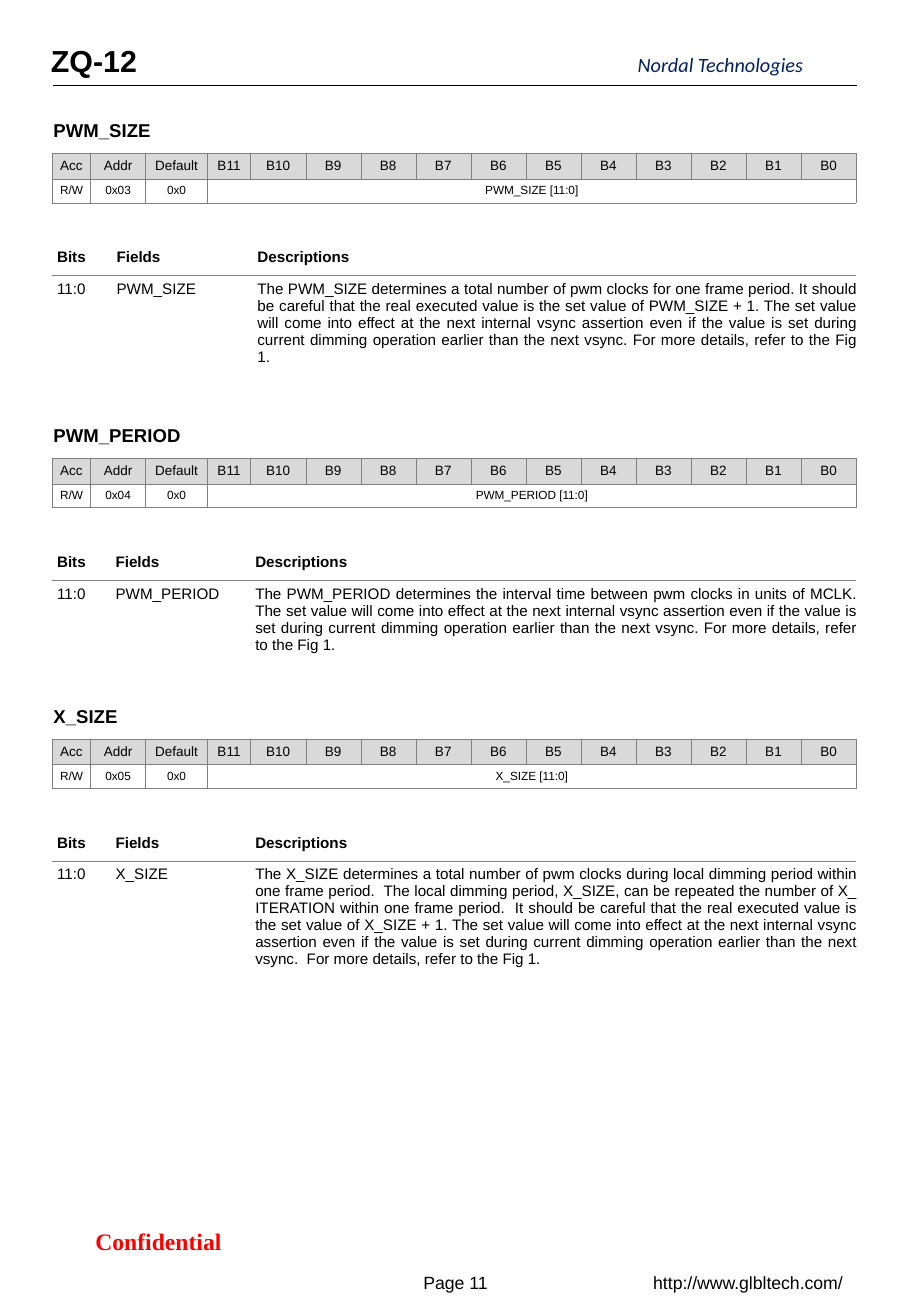
from lxml.etree import SubElement
from pptx import Presentation
from pptx.dml.color import RGBColor
from pptx.enum.shapes import MSO_CONNECTOR
from pptx.enum.text import MSO_ANCHOR as ANCHOR, PP_ALIGN as ALIGN
from pptx.oxml import parse_xml
from pptx.oxml.ns import nsdecls, qn
from pptx.util import Pt

BLACK = RGBColor(0x00, 0x00, 0x00)
NAVY = RGBColor(0x00, 0x20, 0x60)
RED = RGBColor(0xFF, 0x00, 0x00)
GRAY = RGBColor(0x80, 0x80, 0x80)
SILVER = RGBColor(0xD9, 0xD9, 0xD9)

PRODUCT = "ZQ-12"
COMPANY = "Nordal Technologies"
CONFIDENTIAL = "Confidential"
PAGE = "Page 11"
WEBSITE = "http://www.glbltech.com/"

REGISTER_HEADS = ["Acc", "Addr", "Default"] + [f"B{bit}" for bit in range(11, -1, -1)]
FIELD_HEADS = ["Bits", "Fields", "Descriptions"]
REGISTERS = [
    dict(name="PWM_SIZE", address="0x03", top=67, widths=(35.3, 83.5, 357.9), height=60.5,
         description="The PWM_SIZE determines a total number of pwm clocks for one frame period. "
         "It should be careful that the real executed value is the set value of PWM_SIZE + 1. "
         "The set value will come into effect at the next internal vsync assertion even if the "
         "value is set during current dimming operation earlier than the next vsync. "
         "For more details, refer to the Fig 1."),
    dict(name="PWM_PERIOD", address="0x04", top=247.7, widths=(34.7, 82.8, 359.2), height=48.6,
         description="The PWM_PERIOD determines the interval time between pwm clocks in units of "
         "MCLK. The set value will come into effect at the next internal vsync assertion even if "
         "the value is set during current dimming operation earlier than the next vsync. "
         "For more details, refer to the Fig 1."),
    dict(name="X_SIZE", address="0x05", top=414, widths=(34.7, 82.8, 359.2), height=69.5,
         description="The X_SIZE determines a total number of pwm clocks during local dimming "
         "period within one frame period.  The local dimming period, X_SIZE, can be repeated the "
         "number of X_ ITERATION within one frame period.  It should be careful that the real "
         "executed value is the set value of X_SIZE + 1. The set value will come into effect at "
         "the next internal vsync assertion even if the value is set during current dimming "
         "operation earlier than the next vsync.  For more details, refer to the Fig 1."),
]

TABLE_LEFT = 31
REGISTER_WIDTHS = [22.7, 32.6, 36.7, 25.6] + [32.65] * 11
REGISTER_ROWS = (15.2, 14.2)
FIELD_HEAD_HEIGHT = 21.4
REGISTER_OFFSET, FIELD_OFFSET = 23.7, 74.9
CELL_INSET = 2.83
SIDES = "LRTB"

deck = Presentation()
deck.slide_width, deck.slide_height = Pt(540), Pt(779.76)
slide = deck.slides.add_slide(deck.slide_layouts[6])


def write(frame, text, size, color=BLACK, font="Arial", bold=False, italic=False,
          align=ALIGN.LEFT, anchor=ANCHOR.TOP, insets=(0, 3.6, 0, 3.6)):
    frame.vertical_anchor = anchor
    frame.margin_left, frame.margin_top, frame.margin_right, frame.margin_bottom = map(Pt, insets)
    paragraph = frame.paragraphs[0]
    paragraph.alignment = align
    run = paragraph.add_run()
    run.text = text
    run.font.name, run.font.size = font, Pt(size)
    run.font.bold, run.font.italic = bold, italic
    run.font.color.rgb = color


def add_label(box, text, size, wrap=True, **style):
    frame = slide.shapes.add_textbox(*map(Pt, box)).text_frame
    frame.word_wrap = wrap
    write(frame, text, size, **style)


def set_borders(cell, drawn, width):
    properties = cell._tc.get_or_add_tcPr()
    for index, side in enumerate(SIDES):
        border = parse_xml(f'<a:ln{side} {nsdecls("a")} w="{Pt(width)}"/>')
        if side in drawn:
            fill = SubElement(border, qn("a:solidFill"))
            SubElement(fill, qn("a:srgbClr")).set("val", str(GRAY))
        else:
            SubElement(border, qn("a:noFill"))
        properties.insert(index, border)


def add_grid(top, widths, heights):
    box = (TABLE_LEFT, top, sum(widths), sum(heights))
    grid = slide.shapes.add_table(len(heights), len(widths), *map(Pt, box)).table
    grid.first_row = grid.horz_banding = False
    for column, width in zip(grid.columns, widths):
        column.width = Pt(width)
    for row, height in zip(grid.rows, heights):
        row.height = Pt(height)
    return grid


def fill_cell(cell, text, size, right=CELL_INSET, **style):
    insets = (CELL_INSET, CELL_INSET, right, CELL_INSET)
    write(cell.text_frame, text, size, insets=insets, **style)
    cell.vertical_anchor = style.get("anchor", ANCHOR.TOP)
    cell.margin_left, cell.margin_top, cell.margin_right, cell.margin_bottom = map(Pt, insets)


def add_register(register):
    grid = add_grid(register["top"] + REGISTER_OFFSET, REGISTER_WIDTHS, REGISTER_ROWS)
    values = ["R/W", register["address"], "0x0", f"{register['name']} [11:0]"]
    grid.cell(1, 3).merge(grid.cell(1, len(REGISTER_HEADS) - 1))
    for row, (texts, size) in enumerate([(REGISTER_HEADS, 8), (values, 7)]):
        for column in range(len(REGISTER_HEADS)):
            cell = grid.cell(row, column)
            set_borders(cell, SIDES, 0.25)
            if row == 0:
                cell.fill.solid()
                cell.fill.fore_color.rgb = SILVER
            else:
                cell.fill.background()
            if column < len(texts):
                fill_cell(cell, texts[column], size, align=ALIGN.CENTER, anchor=ANCHOR.MIDDLE)


def add_fields(register):
    grid = add_grid(register["top"] + FIELD_OFFSET, register["widths"],
                    (FIELD_HEAD_HEIGHT, register["height"]))
    values = ["11:0", register["name"], register["description"]]
    for column, (head, value) in enumerate(zip(FIELD_HEADS, values)):
        header, body = grid.cell(0, column), grid.cell(1, column)
        set_borders(header, "B", 0.5)
        set_borders(body, "T", 0.5)
        header.fill.background()
        body.fill.background()
        align = ALIGN.JUSTIFY if head == "Descriptions" else ALIGN.LEFT
        fill_cell(header, head, 9, right=0, bold=True, anchor=ANCHOR.MIDDLE)
        fill_cell(body, value, 9, right=0, align=align)


add_label((30.2, 21.6, 478, 28.8), PRODUCT, 18, bold=True)
add_label((378, 31, 115.2, 14.4), COMPANY, 12, wrap=False, color=NAVY, font="Calibri",
          italic=True, insets=(0, 0, 0, 0))
rule = slide.shapes.add_connector(MSO_CONNECTOR.STRAIGHT, Pt(31.7), Pt(50.4), Pt(508.3), Pt(50.4))
rule.line.color.rgb = BLACK
rule.line.width = Pt(0.5)
SubElement(rule._element.spPr, qn("a:effectLst"))

for register in REGISTERS:
    add_label((31.7, register["top"], 476.6, 20.9), register["name"], 11, bold=True,
              insets=(0, 3.6, 7.2, 3.6))
    add_register(register)
    add_fields(register)

footer = dict(align=ALIGN.CENTER, anchor=ANCHOR.MIDDLE, insets=(7.2, 3.6, 7.2, 3.6))
add_label((24.5, 722.9, 139, 24.5), CONFIDENTIAL, 14, color=RED, font="Times New Roman",
          bold=True, **footer)
add_label((236.2, 747.4, 67.7, 24.5), PAGE, 10.5, **footer)
add_label((375.8, 747.4, 135.4, 24.5), WEBSITE, 10.5, **footer)

deck.save("out.pptx")
